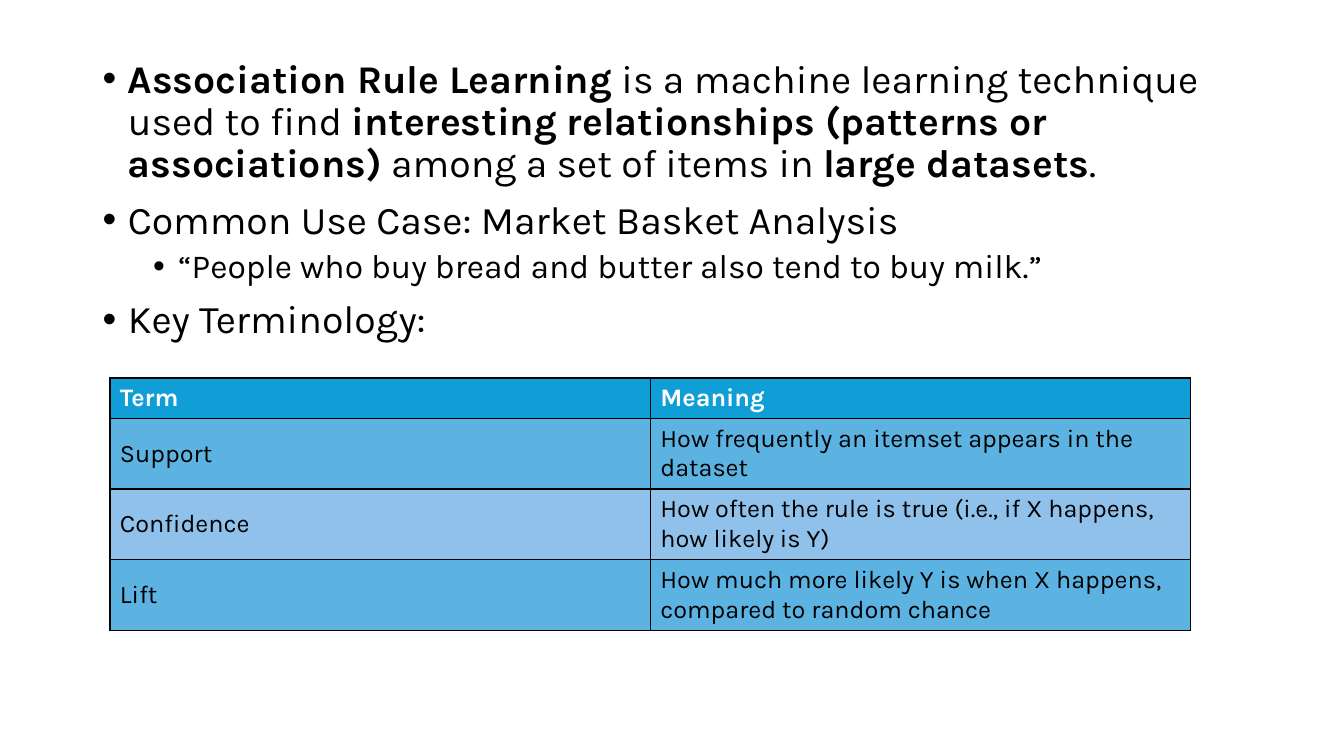
from dataclasses import dataclass

from lxml.etree import SubElement
from pptx import Presentation
from pptx.dml.color import RGBColor
from pptx.enum.text import MSO_ANCHOR
from pptx.oxml.ns import qn
from pptx.util import Inches, Pt


@dataclass(frozen=True)
class Theme:
    font: str = "Karla"
    ink: str = "000000"
    white: str = "FFFFFF"
    head: str = "0F9ED5"
    band: str = "5CB3E2"
    plain: str = "8FC1EA"
    cell: int = 18
    rule: float = 1


THEME = Theme()

# Format values for each bullet level
LEVELS = [
    {"size": 28, "left": 0.25, "before": 10},
    {"size": 24, "left": 0.75, "before": 5},
]
HANG = 0.25

# Level and text; asterisks enclose bold words
POINTS = [
    (0, "*Association Rule Learning* is a machine learning technique used to find "
        "*interesting relationships (patterns or associations)* among a set of items in "
        "*large datasets*."),
    (0, "Common Use Case: Market Basket Analysis"),
    (1, "“People who buy bread and butter also tend to buy milk.”"),
    (0, "Key Terminology:"),
]

TERMS = [
    ("Term", "Meaning"),
    ("Support", "How frequently an itemset appears in the dataset"),
    ("Confidence", "How often the rule is true (i.e., if X happens, how likely is Y)"),
    ("Lift", "How much more likely Y is when X happens, compared to random chance"),
]


def assign(item, values):
    for name, value in values.items():
        setattr(item, name, value)


def add_run(para, text, size, color, bold=False):
    run = para.add_run()
    run.text = text
    assign(run.font, {"name": THEME.font, "size": Pt(size), "bold": bold})
    run.font.color.rgb = RGBColor.from_string(color)


def add_point(para, level, text):
    form = LEVELS[level]
    assign(para, {"level": level, "line_spacing": 0.9, "space_before": Pt(form["before"])})
    props = para._p.get_or_add_pPr()
    props.set("marL", str(Inches(form["left"])))
    props.set("indent", str(-Inches(HANG)))
    SubElement(props, qn("a:buFont"), typeface="Arial")
    SubElement(props, qn("a:buChar"), char="•")
    for i, part in enumerate(text.split("*")):
        if part:
            add_run(para, part, form["size"], THEME.ink, bold=i % 2 == 1)


def add_points(slide, points, left, top, width, height):
    box = slide.shapes.add_textbox(Inches(left), Inches(top), Inches(width), Inches(height))
    frame = box.text_frame
    frame.word_wrap = True
    for i, (level, text) in enumerate(points):
        para = frame.add_paragraph() if i else frame.paragraphs[0]
        add_point(para, level, text)


def add_rules(cell):
    props = cell._tc.get_or_add_tcPr()
    for side in ("lnL", "lnR", "lnT", "lnB"):
        line = SubElement(props, qn(f"a:{side}"), w=str(Pt(THEME.rule)))
        fill = SubElement(line, qn("a:solidFill"))
        SubElement(fill, qn("a:srgbClr"), val=THEME.ink)


def fill_cell(cell, text, fill, color, bold):
    add_rules(cell)
    cell.fill.solid()
    cell.fill.fore_color.rgb = RGBColor.from_string(fill)
    cell.vertical_anchor = MSO_ANCHOR.MIDDLE
    add_run(cell.text_frame.paragraphs[0], text, THEME.cell, color, bold)


def add_terms(slide, terms, left, top, width, heights):
    count = len(terms[0])
    table = slide.shapes.add_table(len(terms), count, Inches(left), Inches(top),
                                   Inches(width), Inches(sum(heights))).table
    assign(table, {"first_row": False, "horz_banding": False})
    for col in table.columns:
        col.width = Inches(width / count)
    for i, (row, texts) in enumerate(zip(table.rows, terms)):
        row.height = Inches(heights[i])
        head = i == 0
        fill = THEME.head if head else THEME.band if i % 2 else THEME.plain
        color = THEME.white if head else THEME.ink
        for cell, text in zip(row.cells, texts):
            fill_cell(cell, text, fill, color, head)


def main():
    deck = Presentation()
    assign(deck, {"slide_width": Inches(13.33), "slide_height": Inches(7.5)})
    slide = deck.slides.add_slide(deck.slide_layouts[6])

    # Bullets above, table of terms below
    add_points(slide, POINTS, 0.92, 0.54, 11.5, 3)
    add_terms(slide, TERMS, 1.09, 3.75, 10.72, [0.4] + [0.69] * 3)
    deck.save("out.pptx")


if __name__ == "__main__":
    main()
